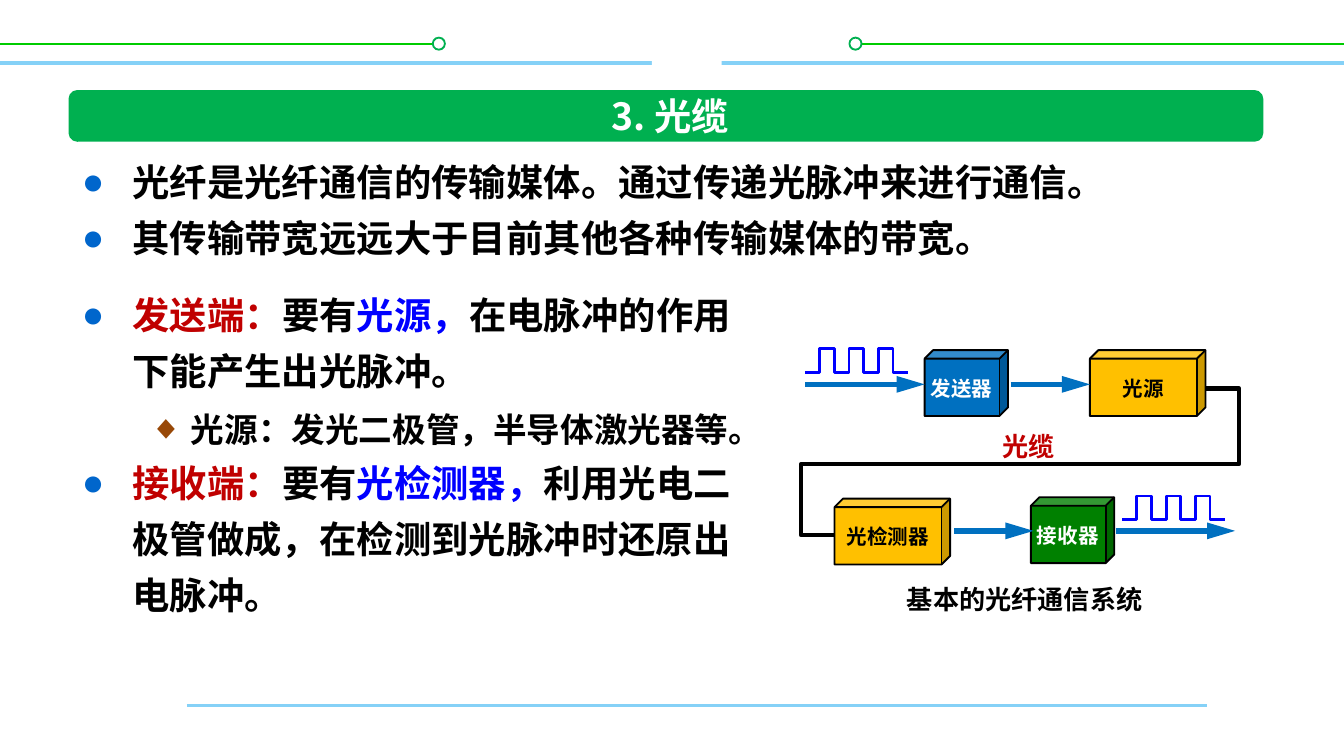
from pptx import Presentation
from pptx.dml.color import RGBColor as RGB
from pptx.enum.shapes import MSO_CONNECTOR as LINK, MSO_SHAPE as SHAPE
from pptx.enum.text import MSO_ANCHOR as ANCHOR, MSO_AUTO_SIZE as FIT, PP_ALIGN as ALIGN
from pptx.oxml import parse_xml
from pptx.oxml.ns import nsdecls
from pptx.util import Inches, Pt

WIDE = Inches(10)
HIGH = WIDE * 9 // 16
FONT = "Noto Sans CJK SC"
BLACK, WHITE = RGB(0, 0, 0), RGB(255, 255, 255)
RED, BLUE = RGB(0xC0, 0, 0), RGB(0, 0, 0xFF)
GREEN, LIME = RGB(0, 0xB0, 0x50), RGB(0, 0xCC, 0)
SKY, STEEL = RGB(0x85, 0xD1, 0xF7), RGB(0, 0x70, 0xC0)
GOLD, DARK = RGB(0xFF, 0xC0, 0), RGB(0, 0x80, 0)
DOT, GEM = RGB(0, 0x66, 0xCC), RGB(0x98, 0x48, 0x07)


def u(n):
    """Grid units: the slide is 100 columns wide, with square cells."""
    return round(n * WIDE / 100)


def box(*at):
    return [u(n) for n in at]


def xml(tag, attrs="", inner=""):
    return parse_xml(f"<a:{tag} {nsdecls('a')} {attrs}>{inner}</a:{tag}>")


# Text
def write(para, text, size=20, color=BLACK):
    run = para.add_run()
    run.text = text
    font = run.font
    font.size, font.bold, font.name = Pt(size), True, FONT
    font.color.rgb = color
    run._r.get_or_add_rPr().append(xml("ea", f'typeface="{FONT}"'))


def label(slide, at, text, size=11, color=BLACK, wrap=True):
    frame = slide.shapes.add_textbox(*box(*at)).text_frame
    frame.word_wrap = wrap
    para = frame.paragraphs[0]
    para.alignment = ALIGN.CENTER
    write(para, text, size, color)


def place(slide, holder, at):
    """Move a placeholder to its spot, in front of what is drawn so far."""
    holder.left, holder.top, holder.width, holder.height = box(*at)
    slide.shapes._spTree.append(holder._element)
    frame = holder.text_frame
    frame.word_wrap, frame.auto_size = True, FIT.NONE
    return frame


def bullets(frame, items):
    """Each item is (level, [(text, color), ...])."""
    for i, (level, runs) in enumerate(items):
        para = frame.add_paragraph() if i else frame.paragraphs[0]
        para.level = level
        mark, tint, left, hang, size = (
            ("◆", GEM, 8.1, 3.1, 18) if level else ("●", DOT, 3.75, 3.75, 20))
        props = para._p.get_or_add_pPr()
        props.set("marL", str(u(left)))
        props.set("indent", str(-u(hang)))
        props.append(xml("buClr", inner=f'<a:srgbClr val="{tint}"/>'))
        props.append(xml("buChar", f'char="{mark}"'))
        para.line_spacing, para.space_before = Pt(30), Pt(0)
        for text, color in runs:
            write(para, text, size, color)


# Shapes and lines
def shape(slide, kind, at, fill, line=None, adj=None):
    item = slide.shapes.add_shape(kind, *box(*at))
    item.shadow.inherit = False
    item.fill.solid()
    item.fill.fore_color.rgb = fill
    if line is None:
        item.line.fill.background()
    else:
        item.line.color.rgb, item.line.width = line, Pt(1)
    if adj is not None:
        item.adjustments[0] = adj


def line(slide, start, end, color, width, arrow=False, kind=LINK.STRAIGHT):
    item = slide.shapes.add_connector(kind, *box(*start, *end))
    item.line.color.rgb, item.line.width = color, Pt(width)
    if arrow:
        item.line._get_or_add_ln().append(
            xml("tailEnd", 'type="triangle" w="med" len="lg"'))
    item._element.spPr.append(xml("effectLst"))
    return item


def cable(slide, start, end):
    item = line(slide, start, end, BLACK, 2.25, kind=LINK.ELBOW)
    geom = item._element.spPr.prstGeom
    geom.set("prst", "bentConnector5")
    guides = "".join(f'<a:gd name="adj{i}" fmla="val {val}"/>'
                     for i, val in enumerate((-9100, 51700, 109100), 1))
    for old in list(geom):
        geom.remove(old)
    geom.append(xml("avLst", inner=guides))


def wave(slide, left, top, step=1.09, high=1.75):
    """Three square pulses."""
    points, up = [], False
    for i in range(7):
        y = top if up else top + high
        points += [(u(left + i * step), u(y)), (u(left + (i + 1) * step), u(y))]
        up = not up
    path = slide.shapes.build_freeform(*points[0])
    path.add_line_segments(points[1:], close=False)
    item = path.convert_to_shape()
    item.shadow.inherit = False
    item.fill.background()
    item.line.color.rgb, item.line.width = BLUE, Pt(1.5)


def device(slide, left, top, wide, text, fill, color=BLACK):
    shape(slide, SHAPE.CUBE, (left, top, wide, 4.9), fill, BLACK, 0.13)
    label(slide, (left - 0.65, top + 1.4, wide + 0.6, 2.8), text, color=color)


def frame_lines(slide):
    for start, end, ring in ((0, 32.4, 32.2), (63.2, 100, 63.2)):
        line(slide, (start, 3.3), (end, 3.3), LIME, 1)
        shape(slide, SHAPE.OVAL, (ring, 2.8, 0.9, 0.9), WHITE, GREEN)
    line(slide, (13.9, 52.5), (89.8, 52.5), SKY, 1.5)
    line(slide, (0, 4.7), (100, 4.7), SKY, 2)
    shape(slide, SHAPE.RECTANGLE, (48.5, 1.4, 5.2, 5.1), WHITE)
    shape(slide, SHAPE.ROUNDED_RECTANGLE, (5.1, 6.7, 88.9, 3.85), GREEN, adj=0.17)


def diagram(slide):
    # Sending row
    device(slide, 68.8, 26.05, 6.2, "发送器", STEEL, WHITE)
    device(slide, 81.1, 26.05, 8.6, "光源", GOLD)
    wave(slide, 59.9, 25.95)
    # Receiving row
    device(slide, 62.1, 37.1, 8.6, "光检测器", GOLD)
    device(slide, 76.7, 37, 6.2, "接收器", DARK, WHITE)
    wave(slide, 83.5, 36.9)
    # Signal arrows and cable
    for left, right, y in ((59.9, 68.8, 28.6), (75.2, 81.1, 28.6),
                           (71, 76.9, 39.5), (83, 91.9, 39.5)):
        line(slide, (left, y), (right, y), STEEL, 3, arrow=True)
    cable(slide, (89.7, 28.9), (62.1, 39.8))
    label(slide, (73.6, 31.55, 5.9, 3.4), "光缆", 14, RED, wrap=False)
    label(slide, (60.8, 42.9, 30.9, 3.4), "基本的光纤通信系统", 14)


def main():
    deck = Presentation()
    deck.slide_width, deck.slide_height = WIDE, HIGH
    slide = deck.slides.add_slide(deck.slide_layouts[3])
    title, facts, ends = slide.placeholders
    frame_lines(slide)

    # Title and lists
    bullets(place(slide, facts, (5.1, 10.5, 88.9, 36.9)), [
        (0, [("光纤是光纤通信的传输媒体。通过传递光脉冲来进行通信。", BLACK)]),
        (0, [("其传输带宽远远大于目前其他各种传输媒体的带宽。", BLACK)]),
    ])
    head = place(slide, title, (13.65, 6.65, 72.5, 3.9))
    head.vertical_anchor = ANCHOR.MIDDLE
    head.paragraphs[0].alignment = ALIGN.CENTER
    write(head.paragraphs[0], "3. 光缆", color=WHITE)
    bullets(place(slide, ends, (5.1, 20.4, 51, 26.5)), [
        (0, [("发送端：", RED), ("要有", BLACK), ("光源，", BLUE),
             ("在电脉冲的作用下能产生出光脉冲。", BLACK)]),
        (1, [("光源：发光二极管，半导体激光器等。", BLACK)]),
        (0, [("接收端：", RED), ("要有", BLACK), ("光检测器，", BLUE),
             ("利用光电二极管做成，在检测到光脉冲时还原出电脉冲。", BLACK)]),
    ])
    diagram(slide)
    deck.save("out.pptx")


if __name__ == "__main__":
    main()
